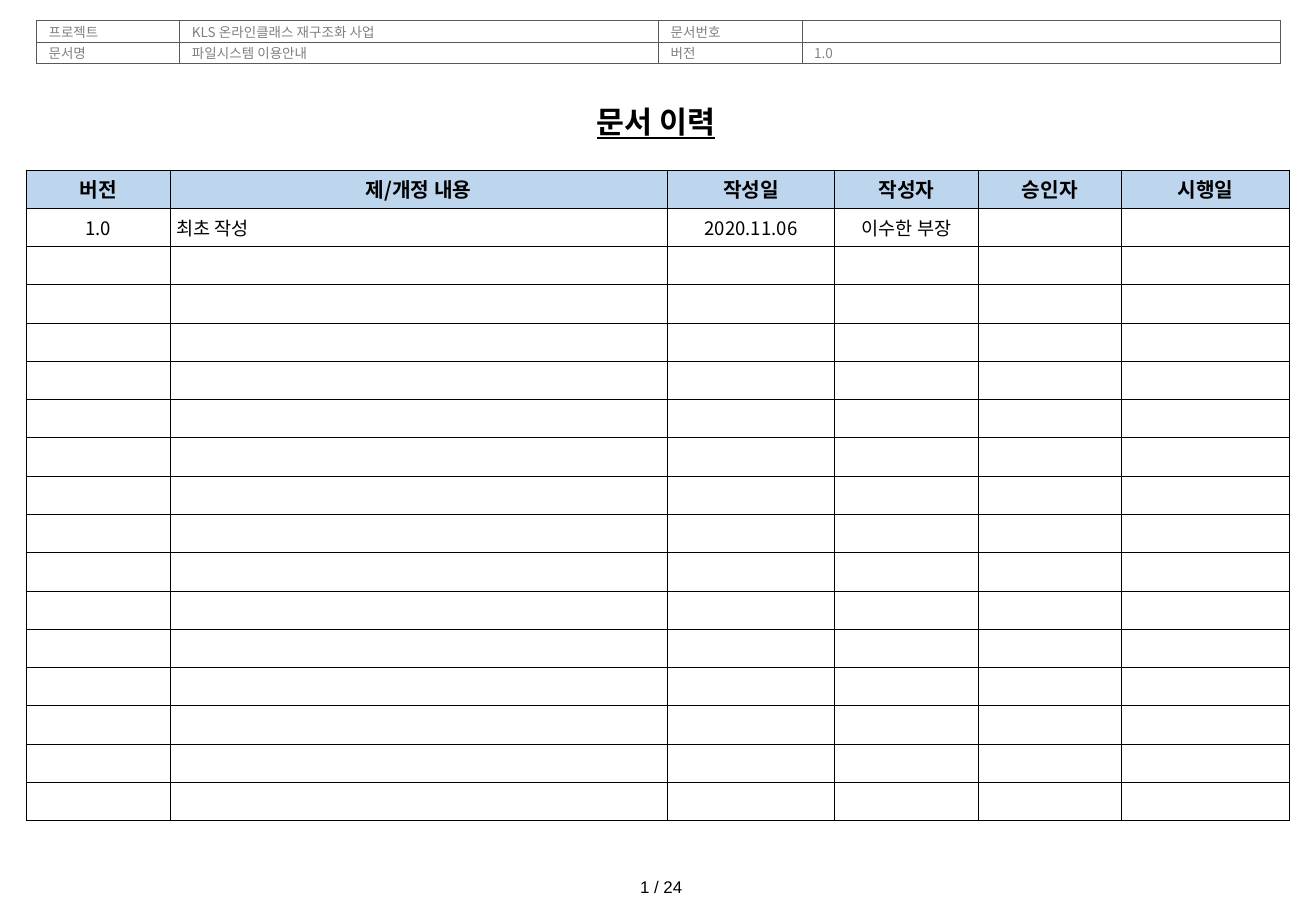
import dataclasses

import lxml.etree
import pptx
import pptx.dml.color
import pptx.enum.text
import pptx.oxml.ns
import pptx.slide
import pptx.util

Inches = pptx.util.Inches
ALIGN = pptx.enum.text.PP_ALIGN
ANCHOR = pptx.enum.text.MSO_ANCHOR
qn = pptx.oxml.ns.qn

COLORS = {"text": "000000", "muted": "808080", "rule": "595959",
          "head": "BDD6EE", "white": "FFFFFF"}
KOREAN = "Noto Sans CJK KR"


@dataclasses.dataclass
class TextStyle:
    size: float
    color: str = "text"
    latin: str = KOREAN
    bold: bool = False
    underline: bool = False


@dataclasses.dataclass
class CellStyle:
    text: TextStyle
    fill: str
    border: str
    aligns: list
    anchor: ANCHOR
    margins: dict


@dataclasses.dataclass
class Grid:
    left: float
    top: float
    cols: list
    row_height: float
    rows: list
    styles: list  # one per row, the last one repeats


@dataclasses.dataclass
class Label:
    text: str
    box: tuple
    style: TextStyle
    align: ALIGN
    anchor: ANCHOR


def write(p, text: str, style: TextStyle) -> None:
    """Fill a paragraph; an empty one only gets its line height."""
    if not text:
        end = lxml.etree.SubElement(p._p, qn("a:endParaRPr"))
        end.set("sz", str(int(style.size * 100)))
        return
    r = p.add_run()
    r.text = text
    formats = {"size": pptx.util.Pt(style.size), "name": style.latin,
               "bold": style.bold, "underline": style.underline}
    for name, value in formats.items():
        setattr(r.font, name, value)
    r.font.color.rgb = pptx.dml.color.RGBColor.from_string(COLORS[style.color])
    east = lxml.etree.SubElement(r.font._element, qn("a:ea"))
    east.set("typeface", KOREAN)


def set_borders(cell, color: str) -> None:
    tc_pr = cell._tc.get_or_add_tcPr()
    for side in ("lnL", "lnR", "lnT", "lnB"):
        ln = lxml.etree.SubElement(tc_pr, qn(f"a:{side}"), w=str(pptx.util.Pt(0.5)))
        fill = lxml.etree.SubElement(ln, qn("a:solidFill"))
        lxml.etree.SubElement(fill, qn("a:srgbClr"), val=COLORS[color])


def draw_grid(s: pptx.slide.Slide, grid: Grid) -> None:
    n_rows, n_cols = len(grid.rows), len(grid.cols)
    table = s.shapes.add_table(
        n_rows, n_cols, Inches(grid.left), Inches(grid.top),
        Inches(sum(grid.cols)), Inches(grid.row_height * n_rows)).table
    table.first_row = table.horz_banding = False
    for col, width in zip(table.columns, grid.cols):
        col.width = Inches(width)
    for i, texts in enumerate(grid.rows):
        table.rows[i].height = Inches(grid.row_height)
        style = grid.styles[min(i, len(grid.styles) - 1)]
        for j, text in enumerate(texts):
            cell = table.cell(i, j)
            set_borders(cell, style.border)
            cell.fill.solid()
            cell.fill.fore_color.rgb = pptx.dml.color.RGBColor.from_string(
                COLORS[style.fill])
            cell.vertical_anchor = style.anchor
            for name, value in style.margins.items():
                setattr(cell, f"margin_{name}", Inches(value))
            p = cell.text_frame.paragraphs[0]
            p.alignment = style.aligns[j]
            write(p, text, style.text)


def draw_label(s: pptx.slide.Slide, label: Label) -> None:
    tf = s.shapes.add_textbox(*map(Inches, label.box)).text_frame
    formats = {"word_wrap": False, "vertical_anchor": label.anchor,
               "auto_size": pptx.enum.text.MSO_AUTO_SIZE.SHAPE_TO_FIT_TEXT}
    for name, value in formats.items():
        setattr(tf, name, value)
    p = tf.paragraphs[0]
    p.alignment = label.align
    write(p, label.text, label.style)


# Document information at the top
info_style = CellStyle(
    TextStyle(8, "muted"), "white", "rule", [ALIGN.JUSTIFY, ALIGN.LEFT] * 2,
    ANCHOR.TOP, {"left": 0.1, "right": 0.1, "top": 0.01, "bottom": 0})
info = Grid(0.3, 0.17, [1.18, 3.94] * 2, 0.175, [
    ["프로젝트", "KLS 온라인클래스 재구조화 사업", "문서번호", ""],
    ["문서명", "파일시스템 이용안내", "버전", "1.0"],
], [info_style])

# Revision history
tight = {"left": 0.02, "right": 0.02, "top": 0.01, "bottom": 0.01}
head_style = CellStyle(TextStyle(12, bold=True), "head", "text",
                       [ALIGN.CENTER] * 6, ANCHOR.MIDDLE, tight)
body_style = CellStyle(TextStyle(11), "white", "text",
                       [ALIGN.CENTER, ALIGN.LEFT] + [ALIGN.CENTER] * 4,
                       ANCHOR.MIDDLE, {**tight, "left": 0.05, "right": 0.05})
history = Grid(0.22, 1.4, [1.18, 4.09, 1.38, 1.18, 1.18, 1.38], 0.315, [
    ["버전", "제/개정 내용", "작성일", "작성자", "승인자", "시행일"],
    ["1.0", "최초 작성", "2020.11.06", "이수한 부장", "", ""],
    *[[""] * 6 for _ in range(15)],
], [head_style, body_style])

# Title and page number
labels = [
    Label("문서 이력", (4.76, 0.8, 1.28, 0.4),
          TextStyle(18, latin="Arial", bold=True, underline=True),
          ALIGN.CENTER, ANCHOR.MIDDLE),
    Label("1 / 24", (5.17, 7.17, 0.64, 0.27), TextStyle(10, latin="Arial"),
          ALIGN.LEFT, ANCHOR.TOP),
]


def main() -> None:
    prs = pptx.Presentation()
    prs.slide_width, prs.slide_height = Inches(10.83), Inches(7.5)
    s = prs.slides.add_slide(prs.slide_layouts[6])
    for grid in (info, history):
        draw_grid(s, grid)
    for label in labels:
        draw_label(s, label)
    prs.save("out.pptx")


if __name__ == "__main__":
    main()
